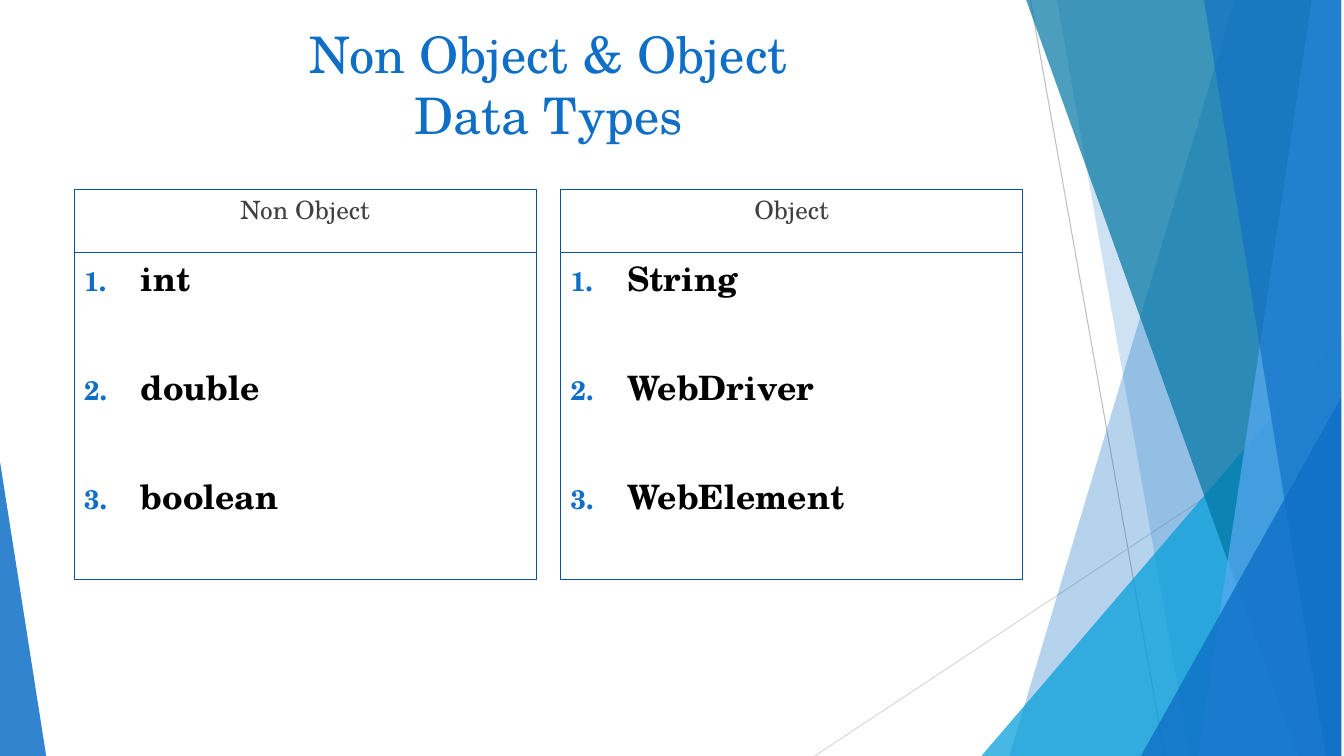
from lxml.etree import SubElement
from pptx import Presentation
from pptx.dml.color import RGBColor
from pptx.enum.shapes import MSO_CONNECTOR, MSO_SHAPE
from pptx.enum.text import MSO_ANCHOR, MSO_AUTO_SIZE, PP_ALIGN
from pptx.oxml.ns import qn
from pptx.util import Pt

FONT = "TeX Gyre Schola"
BLUE = RGBColor(0x0F, 0x6F, 0xC6)
CYAN = RGBColor(0x00, 0x9D, 0xD9)
TEAL = RGBColor(0x00, 0x76, 0xA3)
SKY = RGBColor(0x59, 0xAA, 0xF2)
NAVY = RGBColor(0x0B, 0x53, 0x94)
BLACK = RGBColor(0, 0, 0)
GRAY = RGBColor(0x40, 0x40, 0x40)
SILVER = RGBColor(0xBF, 0xBF, 0xBF)
PALE = RGBColor(0xD9, 0xD9, 0xD9)
WIDE, HIGH = 960, 540
EDGE = 958  # right end of the coloured bands


def style(para, size, color, **more):
    look = {"name": FONT, "size": Pt(size), **more}
    for key, value in look.items():
        setattr(para.font, key, value)
    for run in para.runs:
        for key, value in look.items():
            setattr(run.font, key, value)
        run.font.color.rgb = color


def tint(shape, color, alpha):
    """Fill without outline; alpha is the opacity in percent."""
    shape.shadow.inherit = False
    shape.fill.solid()
    shape.fill.fore_color.rgb = color
    shape.line.fill.background()
    code = next(shape.element.spPr.iter(qn("a:srgbClr")))
    SubElement(code, qn("a:alpha"), val=str(alpha * 1000))


def ray(slide, x1, y1, x2, y2, color):
    line = slide.shapes.add_connector(
        MSO_CONNECTOR.STRAIGHT, Pt(x1), Pt(y1), Pt(x2), Pt(y2))
    line.line.color.rgb = color
    line.line.width = Pt(0.75)
    SubElement(line.element.spPr, qn("a:effectLst"))


def band(slide, top, foot, color, alpha):
    """Full-height band from a slanted left side to the right edge."""
    pen = slide.shapes.build_freeform(Pt(top), 0)
    pen.add_line_segments(
        [(Pt(EDGE), 0), (Pt(EDGE), Pt(HIGH)), (Pt(foot), Pt(HIGH))])
    tint(pen.convert_to_shape(), color, alpha)


def wedge(slide, left, top, right, tip, color, alpha):
    """Triangle standing on the slide's foot; tip is 0 left, 1 right."""
    shape = slide.shapes.add_shape(
        MSO_SHAPE.ISOSCELES_TRIANGLE, Pt(left), Pt(top),
        Pt(right - left), Pt(HIGH - top))
    shape.adjustments[0] = tip
    tint(shape, color, alpha)


def decor(slide):
    ray(slide, 736, 0, 832, HIGH, SILVER)
    ray(slide, EDGE, 291, 582, HIGH, PALE)
    band(slide, 882, 721, BLUE, 30)
    band(slide, 755, 850, BLUE, 20)
    wedge(slide, 701, 240, EDGE, 1, CYAN, 72)
    band(slide, 733, 927, TEAL, 70)
    band(slide, 937, 856, SKY, 70)
    band(slide, 860, 947, BLUE, 65)
    wedge(slide, 815, 284, EDGE, 1, BLUE, 80)
    wedge(slide, -2, 317, 33, 0, BLUE, 85)


def head(slide, left, top, width, height):
    title = slide.shapes.title
    place = {"left": left, "top": top, "width": width, "height": height}
    for key, value in place.items():
        setattr(title, key, Pt(value))
    frame = title.text_frame
    frame.text = "Non Object & Object\vData Types"
    frame.auto_size = MSO_AUTO_SIZE.NONE
    frame.vertical_anchor = MSO_ANCHOR.TOP
    para = frame.paragraphs[0]
    para.alignment = PP_ALIGN.CENTER
    style(para, 36, BLUE)


def panel(slide, left, top, width, height, lines):
    """Outlined box; returns its paragraphs."""
    box = slide.shapes.add_shape(
        MSO_SHAPE.RECTANGLE, Pt(left), Pt(top), Pt(width), Pt(height))
    box.shadow.inherit = False
    box.fill.background()
    box.line.color.rgb = NAVY
    box.line.width = Pt(0.75)
    frame = box.text_frame
    frame.word_wrap = True
    frame.vertical_anchor = MSO_ANCHOR.TOP
    frame.text = "\n".join(lines)
    return frame.paragraphs


def number(para):
    props = para._p.get_or_add_pPr()
    props.set("marL", str(Pt(40.5)))
    props.set("indent", str(-Pt(40.5)))
    color = SubElement(props, qn("a:buClr"))
    SubElement(color, qn("a:srgbClr"), val=str(BLUE))
    SubElement(props, qn("a:buSzPct"), val="80000")
    SubElement(props, qn("a:buFont"), typeface=FONT)
    SubElement(props, qn("a:buAutoNum"), type="arabicPeriod")


def card(slide, left, top, width, height, name, items):
    """Numbered list under a caption box."""
    cap = 45
    for row, para in enumerate(
            panel(slide, left, top + cap, width, height - cap, items)):
        para.alignment = PP_ALIGN.LEFT
        para.space_before = Pt(49 if row else 0)
        number(para)
        style(para, 24, BLACK, bold=True)
    para = panel(slide, left, top, width, cap, [name])[0]
    para.alignment = PP_ALIGN.CENTER
    style(para, 18, GRAY)


def main():
    deck = Presentation()
    deck.slide_width, deck.slide_height = Pt(WIDE), Pt(HIGH)
    slide = deck.slides.add_slide(deck.slide_layouts[5])
    decor(slide)
    left, width, gap = 53, 330, 17.5
    head(slide, left, 13, 2 * width + gap, 93)
    cards = {
        "Non Object": ["int", "double", "boolean"],
        "Object": ["String", "WebDriver", "WebElement"],
    }
    for col, (name, items) in enumerate(cards.items()):
        card(slide, left + col * (width + gap), 135.5, width, 278.5,
             name, items)
    deck.save("out.pptx")


if __name__ == "__main__":
    main()
